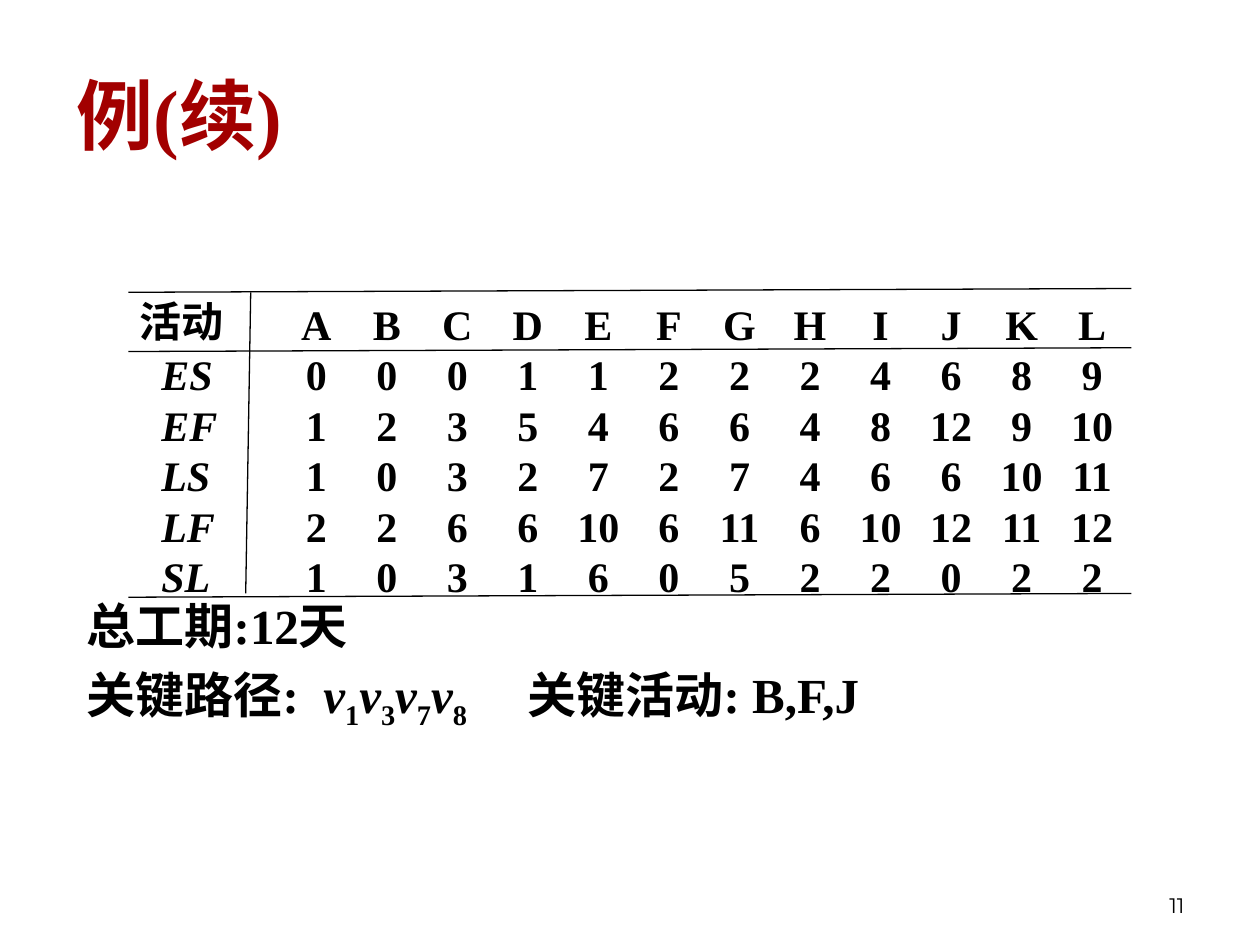
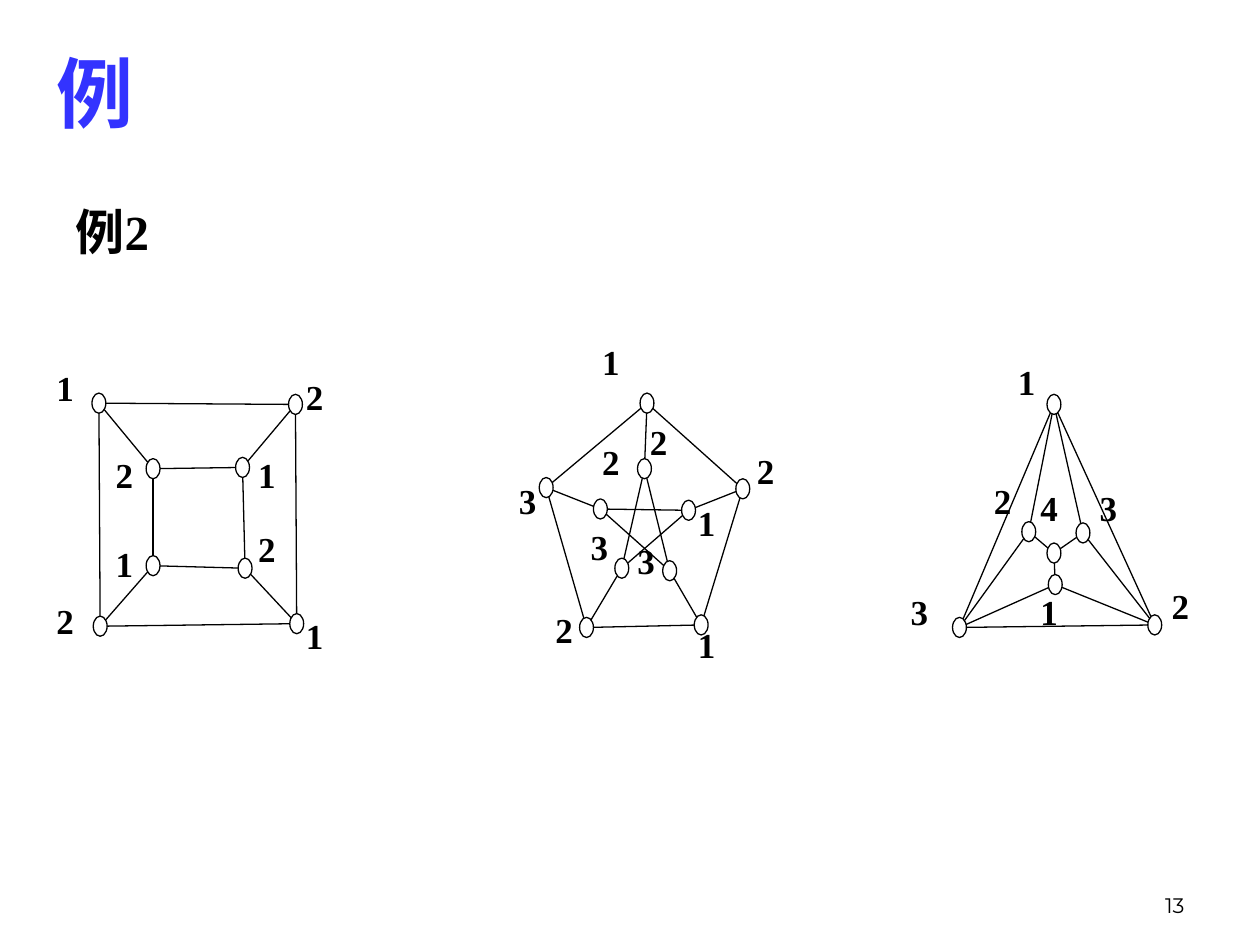
from itertools import chain
from math import hypot

from pptx import Presentation
from pptx.dml.color import RGBColor
from pptx.enum.shapes import MSO_CONNECTOR, MSO_SHAPE
from pptx.enum.text import MSO_ANCHOR, MSO_AUTO_SIZE, PP_ALIGN
from pptx.oxml.ns import qn
from pptx.util import Inches, Pt

STRAIGHT = MSO_CONNECTOR.STRAIGHT
OVAL = MSO_SHAPE.OVAL
TOP, MIDDLE, BOTTOM = MSO_ANCHOR.TOP, MSO_ANCHOR.MIDDLE, MSO_ANCHOR.BOTTOM
LEFT, CENTER, RIGHT = PP_ALIGN.LEFT, PP_ALIGN.CENTER, PP_ALIGN.RIGHT
NO_FIT = MSO_AUTO_SIZE.NONE

BLACK, WHITE, RED, BLUE = "000000", "FFFFFF", "A20000", "3333FF"
SERIF, SANS, NUMBER_FONT = "Times New Roman", "Arial", "Montserrat"

TITLE = dict(name=SERIF, size=Pt(44), bold=True, color=RED)
BODY = dict(name=SERIF, size=Pt(28), bold=True, color=BLACK)
CELL = dict(BODY, size=Pt(24))
LABEL = dict(BODY, size=Pt(20))
PAGE_NUMBER = dict(name=NUMBER_FONT, size=Pt(12), bold=False, color=BLACK)

NODE_WIDTH, NODE_HEIGHT = 0.11, 0.16

ACTIVITIES = "ABCDEFGHIJKL"
SCHEDULE = {
    "ES": [0, 0, 0, 1, 1, 2, 2, 2, 4, 6, 8, 9],
    "EF": [1, 2, 3, 5, 4, 6, 6, 4, 8, 12, 9, 10],
    "LS": [1, 0, 3, 2, 7, 2, 7, 4, 6, 6, 10, 11],
    "LF": [2, 2, 6, 6, 10, 6, 11, 6, 10, 12, 11, 12],
    "SL": [1, 0, 3, 1, 6, 0, 5, 2, 2, 0, 2, 2],
}
TABLE_RULES = [
    (1.02, 2.32, 8.98, 2.29),
    (1.99, 2.32, 1.95, 4.71),
    (1.02, 2.79, 8.98, 2.76),
    (1.02, 4.74, 8.98, 4.71),
]

CUBE = [
    (0.73, 3.12, 1, 0.35, 2.86),
    (2.29, 3.13, 2, 2.33, 2.93),
    (2.30, 4.87, 1, 2.33, 4.83),
    (0.74, 4.89, 2, 0.35, 4.71),
    (1.16, 3.64, 2, 0.82, 3.55),
    (1.87, 3.63, 1, 1.95, 3.55),
    (1.89, 4.43, 2, 1.95, 4.14),
    (1.16, 4.41, 1, 0.82, 4.26),
]
PETERSEN = [
    (5.08, 3.12, 1, 4.68, 2.65),
    (5.84, 3.80, 2, 5.91, 3.52),
    (5.51, 4.88, 1, 5.44, 4.90),
    (4.60, 4.90, 2, 4.31, 4.78),
    (4.28, 3.79, 3, 4.02, 3.76),
    (5.06, 3.64, 2, 5.06, 3.29),
    (5.41, 3.97, 1, 5.44, 3.93),
    (5.26, 4.45, 3, 4.96, 4.23),
    (4.88, 4.43, 3, 4.59, 4.12),
    (4.71, 3.96, 2, 4.68, 3.45),
]
TRIANGLE = [
    (8.31, 3.13, 1, 7.98, 2.81),
    (9.11, 4.88, 2, 9.20, 4.59),
    (7.56, 4.90, 3, 7.13, 4.64),
    (8.54, 4.15, 3, 8.63, 3.81),
    (8.32, 4.56, 1, 8.16, 4.64),
    (8.11, 4.14, 2, 7.79, 3.76),
    (8.31, 4.31, 4, 8.16, 3.81),
]


def rgb(value):
    return RGBColor.from_string(value)


def cycle(size, first=0, step=1):
    return [(first + i, first + (i + step) % size) for i in range(size)]


def nested_rings(size, inner_step):
    spokes = [(i, i + size) for i in range(size)]
    return cycle(size) + spokes + cycle(size, size, inner_step)


def triangle_edges():
    fans = [[(i, 3 + i), ((i + 1) % 3, 3 + i), (6, 3 + i)] for i in range(3)]
    return cycle(3) + list(chain.from_iterable(fans))


class Deck:
    def __init__(self):
        self.presentation = Presentation()
        self.presentation.slide_width = Inches(10)
        self.presentation.slide_height = Inches(7.5)
        self.slide = None

    def start(self, number):
        layout = self.presentation.slide_layouts[1]
        self.slide = self.presentation.slides.add_slide(layout)
        self.text((7.17, 6.83, 2.33, 0.5), number, PAGE_NUMBER, RIGHT, BOTTOM)

    def run(self, paragraph, text, style, **changes):
        run = paragraph.add_run()
        run.text = text
        values = {**style, **changes}
        run.font.color.rgb = rgb(values.pop("color"))
        baseline = values.pop("baseline", None)
        for attribute, value in values.items():
            setattr(run.font, attribute, value)
        if baseline:
            run.font._element.set("baseline", str(baseline))

    def frame(self, shape, anchor):
        frame = shape.text_frame
        settings = dict(word_wrap=True, auto_size=NO_FIT, vertical_anchor=anchor)
        for attribute, value in settings.items():
            setattr(frame, attribute, value)
        return frame

    def place(self, shape, box):
        for attribute, value in zip(("left", "top", "width", "height"), box):
            setattr(shape, attribute, Inches(value))

    def title(self, box, text, **changes):
        heading = self.slide.shapes.title
        self.place(heading, box)
        paragraph = self.frame(heading, MIDDLE).paragraphs[0]
        paragraph.alignment = LEFT
        self.run(paragraph, text, TITLE, **changes)

    def body(self, box, lines, tab=None):
        body = self.slide.placeholders[1]
        self.place(body, box)
        frame = self.frame(body, TOP)
        for index, runs in enumerate(lines):
            paragraph = frame.add_paragraph() if index else frame.paragraphs[0]
            paragraph.space_before = Pt(5.6)
            properties = paragraph._p.get_or_add_pPr()
            properties.set("marL", "0")
            properties.set("indent", "0")
            properties.append(properties.makeelement(qn("a:buNone"), {}))
            if tab:
                stops = properties.makeelement(qn("a:tabLst"), {})
                stop = {"pos": str(Inches(tab)), "algn": "l"}
                stops.append(stops.makeelement(qn("a:tab"), stop))
                properties.append(stops)
            for text, changes in runs:
                self.run(paragraph, text, BODY, **changes)

    def text(self, box, text, style, alignment=LEFT, anchor=TOP):
        box_shape = self.slide.shapes.add_textbox(*map(Inches, box))
        paragraph = self.frame(box_shape, anchor).paragraphs[0]
        paragraph.alignment = alignment
        self.run(paragraph, text, style)

    def line(self, *ends):
        line = self.slide.shapes.add_connector(STRAIGHT, *map(Inches, ends))
        line.line.color.rgb = rgb(BLACK)
        line.line.width = Pt(0.75)
        properties = line._element.spPr
        properties.append(properties.makeelement(qn("a:effectLst"), {}))

    def node(self, left, top):
        box = (left, top, NODE_WIDTH, NODE_HEIGHT)
        node = self.slide.shapes.add_shape(OVAL, *map(Inches, box))
        node.shadow.inherit = False
        node.fill.solid()
        node.fill.fore_color.rgb = rgb(WHITE)
        node.line.color.rgb = rgb(BLACK)
        node.line.width = Pt(0.75)

    def edge(self, start, end):
        dx, dy = end[0] - start[0], end[1] - start[1]
        trim = 1 / hypot(dx / (NODE_WIDTH / 2), dy / (NODE_HEIGHT / 2))
        x, y = start[0] + NODE_WIDTH / 2, start[1] + NODE_HEIGHT / 2
        self.line(x + dx * trim, y + dy * trim,
                  x + dx * (1 - trim), y + dy * (1 - trim))

    def graph(self, vertices, edges):
        for start, end in edges:
            self.edge(vertices[start], vertices[end])
        for left, top, *_ in vertices:
            self.node(left, top)
        for _, _, color_number, left, top in vertices:
            self.text((left, top, 0.56, 0.66), str(color_number), LABEL)

    def table(self, left, top, widths, heights, rows):
        size = (left, top, sum(widths), sum(heights))
        table = self.slide.shapes.add_table(
            len(rows), len(widths), *map(Inches, size)).table
        table.first_row = table.horz_banding = False
        for column, width in zip(table.columns, widths):
            column.width = Inches(width)
        for row, height in zip(table.rows, heights):
            row.height = Inches(height)
        for i, values in enumerate(rows):
            for j, value in enumerate(values):
                cell = table.cell(i, j)
                cell.fill.background()
                indent = (0.26 if i else 0.09) if j == 0 else 0
                margins = dict(margin_left=Inches(indent), margin_right=0,
                               margin_top=0, margin_bottom=0,
                               vertical_anchor=BOTTOM)
                for attribute, setting in margins.items():
                    setattr(cell, attribute, setting)
                paragraph = cell.text_frame.paragraphs[0]
                paragraph.alignment = CENTER if j else LEFT
                self.run(paragraph, str(value), CELL, italic=i > 0 and j == 0)


def schedule_slide(deck):
    deck.start("11")
    deck.title((0.51, 0.29, 9, 1.22), "例(续)")
    critical_path = [("关键路径: ", {})]
    for index in "1378":
        critical_path += [("v" if index != "1" else " v", dict(italic=True)),
                          (index, dict(baseline=-25000))]
    critical_path.append(("\t关键活动: B,F,J", {}))
    deck.body((0.59, 4.68, 9.02, 1.32),
              [[("总工期:12天", {})], critical_path], tab=3.89)
    rows = [["活动", *ACTIVITIES]]
    rows += [[name, *days] for name, days in SCHEDULE.items()]
    deck.table(1.02, 2.29, [1.21] + [0.56] * len(ACTIVITIES),
               [0.48] + [0.4] * len(SCHEDULE), rows)
    for ends in TABLE_RULES:
        deck.line(*ends)


def coloring_slide(deck):
    deck.start("13")
    deck.title((0.35, 0, 9, 1.45), "例", name=SANS, color=BLUE)
    deck.body((0.5, 1.55, 9, 0.55), [[("例", dict(name=SANS)), ("2", {})]])
    deck.graph(CUBE, nested_rings(4, 1))
    deck.graph(PETERSEN, nested_rings(5, 2))
    deck.graph(TRIANGLE, triangle_edges())


def main():
    deck = Deck()
    schedule_slide(deck)
    coloring_slide(deck)
    deck.presentation.save("out.pptx")


if __name__ == "__main__":
    main()
